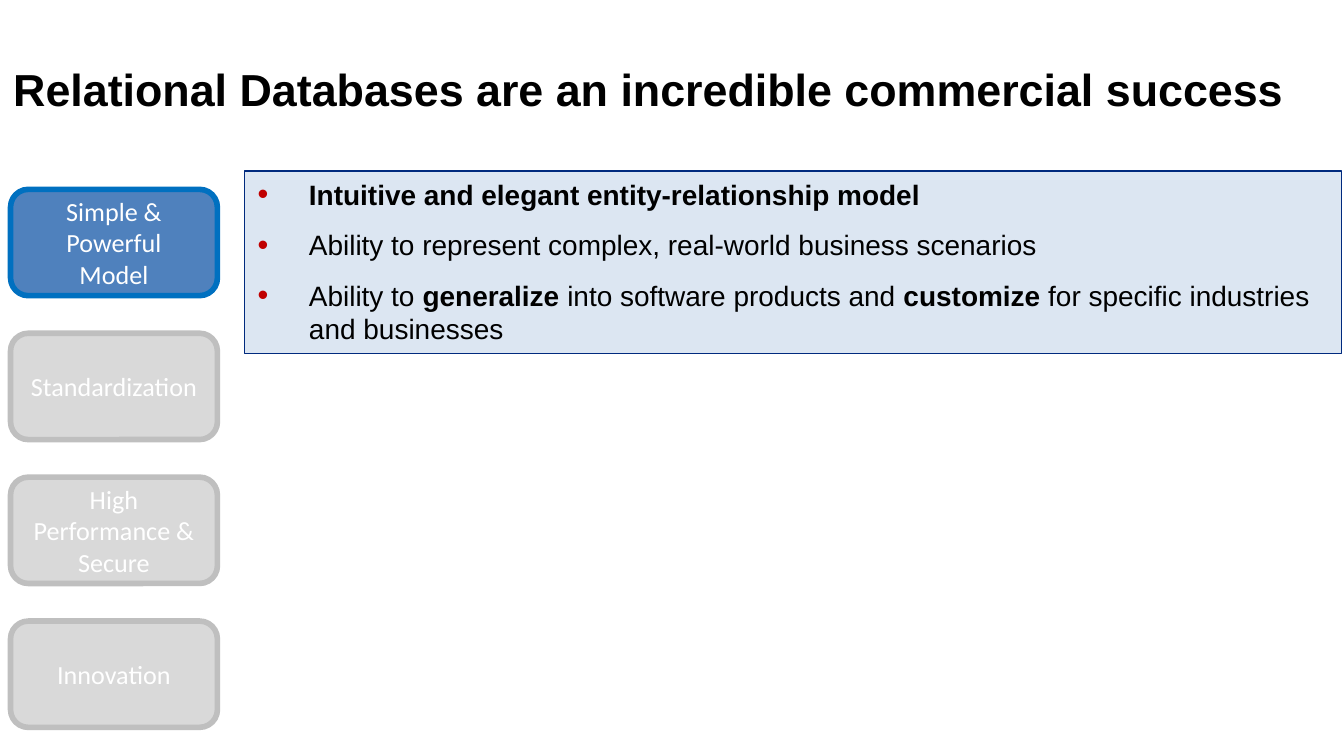
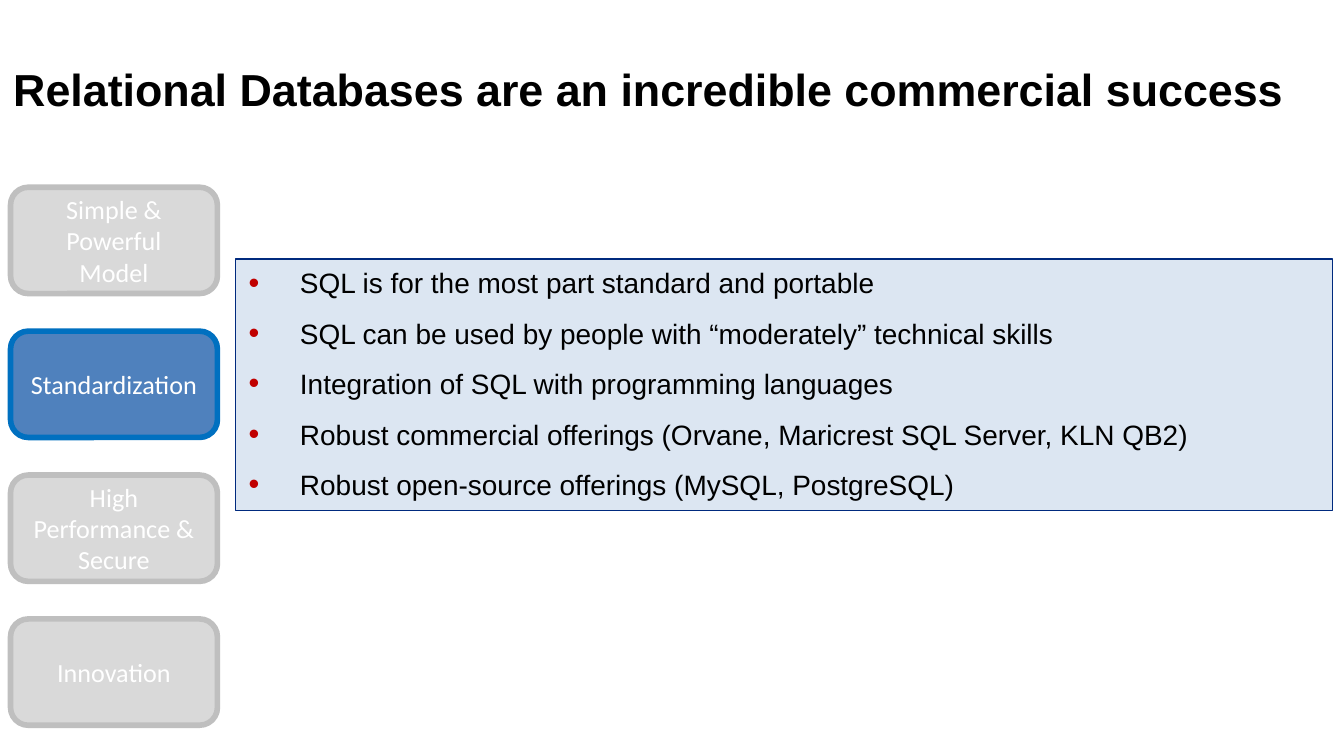
from lxml import etree
from pptx import Presentation
from pptx.dml.color import RGBColor
from pptx.enum import shapes, text
from pptx.oxml.ns import qn
from pptx.util import Cm, Pt

# Content: "**" switches bold on and off
TITLE = "Relational Databases are an incredible commercial success"
TOPICS = ["Simple & Powerful Model", "Standardization",
          "High Performance & Secure", "Innovation"]
SLIDES = [
    {"active": 0, "topics_top": 3.58, "panel": (4.62, 3.23, 20.73, 3.45),
     "points": [
         "**Intuitive and elegant entity-relationship model**",
         "Ability to represent complex, real-world business scenarios",
         "Ability to **generalize** into software products and **customize**"
         " for specific industries and businesses"]},
    {"active": 1, "topics_top": 3.54, "panel": (4.45, 4.9, 20.73, 4.75),
     "points": [
         "SQL is for the most part standard and portable",
         "SQL can be used by people with “moderately” technical skills",
         "Integration of SQL with programming languages",
         "Robust commercial offerings (Orvane, Maricrest SQL Server, KLN QB2)",
         "Robust open-source offerings (MySQL, PostgreSQL)"]},
]

# Shared look
BLACK = RGBColor(0x00, 0x00, 0x00)
WHITE = RGBColor(0xFF, 0xFF, 0xFF)
RED = RGBColor(0xC0, 0x00, 0x00)
PANEL_FILL, PANEL_LINE = RGBColor(0xDC, 0xE6, 0xF2), RGBColor(0x00, 0x2A, 0x7E)
ACTIVE = (RGBColor(0x4F, 0x81, 0xBD), RGBColor(0x00, 0x70, 0xC0))
MUTED = (RGBColor(0xD9, 0xD9, 0xD9), RGBColor(0xBF, 0xBF, 0xBF))
TITLE_BOX = (0, 1.22, 25.45, 1.12)
TOPIC_LEFT, TOPIC_WIDTH, TOPIC_HEIGHT, TOPIC_PITCH = 0.2, 3.91, 2.01, 2.72
INDENT = Cm(0.97)


def set_font(paragraph, name, size, color, bold=None):
    font = paragraph.font
    font.name, font.size, font.bold = name, Pt(size), bold
    font.color.rgb = color


def add_box(slide, kind, box, fill, line, line_width):
    shape = slide.shapes.add_shape(kind, *map(Cm, box))
    shape.shadow.inherit = False
    shape.fill.solid()
    shape.fill.fore_color.rgb = fill
    shape.line.color.rgb = line
    shape.line.width = Pt(line_width)
    shape.text_frame.word_wrap = True
    return shape


def add_bullet(paragraph):
    properties = paragraph._p.get_or_add_pPr()
    properties.set("marL", str(INDENT))
    properties.set("indent", str(-INDENT))
    color = etree.SubElement(properties, qn("a:buClr"))
    etree.SubElement(color, qn("a:srgbClr"), val=str(RED))
    etree.SubElement(properties, qn("a:buSzPct"), val="110000")
    etree.SubElement(properties, qn("a:buFont"), typeface="Arial")
    etree.SubElement(properties, qn("a:buChar"), char="•")


def add_title(slide):
    frame = slide.shapes.add_textbox(*map(Cm, TITLE_BOX)).text_frame
    frame.word_wrap = True
    frame.auto_size = text.MSO_AUTO_SIZE.SHAPE_TO_FIT_TEXT
    paragraph = frame.paragraphs[0]
    paragraph.text = TITLE
    paragraph.line_spacing = Pt(24)
    set_font(paragraph, "Arial", 24, BLACK, True)


def add_panel(slide, box, points):
    shape = add_box(slide, shapes.MSO_SHAPE.RECTANGLE, box,
                    PANEL_FILL, PANEL_LINE, 0.75)
    frame = shape.text_frame
    frame.vertical_anchor = text.MSO_ANCHOR.TOP
    frame.auto_size = text.MSO_AUTO_SIZE.SHAPE_TO_FIT_TEXT
    for index, point in enumerate(points):
        paragraph = frame.add_paragraph() if index else frame.paragraphs[0]
        paragraph.alignment = text.PP_ALIGN.LEFT
        paragraph.space_after = Pt(9)
        add_bullet(paragraph)
        set_font(paragraph, "Arial", 15, BLACK)
        for part, words in enumerate(point.split("**")):
            if words:
                run = paragraph.add_run()
                run.text = words
                run.font.bold = part % 2 == 1


def add_topics(slide, top, active):
    for index, topic in enumerate(TOPICS):
        box = (TOPIC_LEFT, top + index * TOPIC_PITCH, TOPIC_WIDTH, TOPIC_HEIGHT)
        fill, line = ACTIVE if index == active else MUTED
        shape = add_box(slide, shapes.MSO_SHAPE.ROUNDED_RECTANGLE, box,
                        fill, line, 3)
        shape.text_frame.vertical_anchor = text.MSO_ANCHOR.MIDDLE
        paragraph = shape.text_frame.paragraphs[0]
        paragraph.text = topic
        paragraph.alignment = text.PP_ALIGN.CENTER
        set_font(paragraph, "Calibri", 14, WHITE)


def main():
    presentation = Presentation()
    presentation.slide_width, presentation.slide_height = Cm(25.4), Cm(14.29)
    for content in SLIDES:
        slide = presentation.slides.add_slide(presentation.slide_layouts[6])
        add_panel(slide, content["panel"], content["points"])
        add_topics(slide, content["topics_top"], content["active"])
        add_title(slide)
    presentation.save("out.pptx")


if __name__ == "__main__":
    main()
